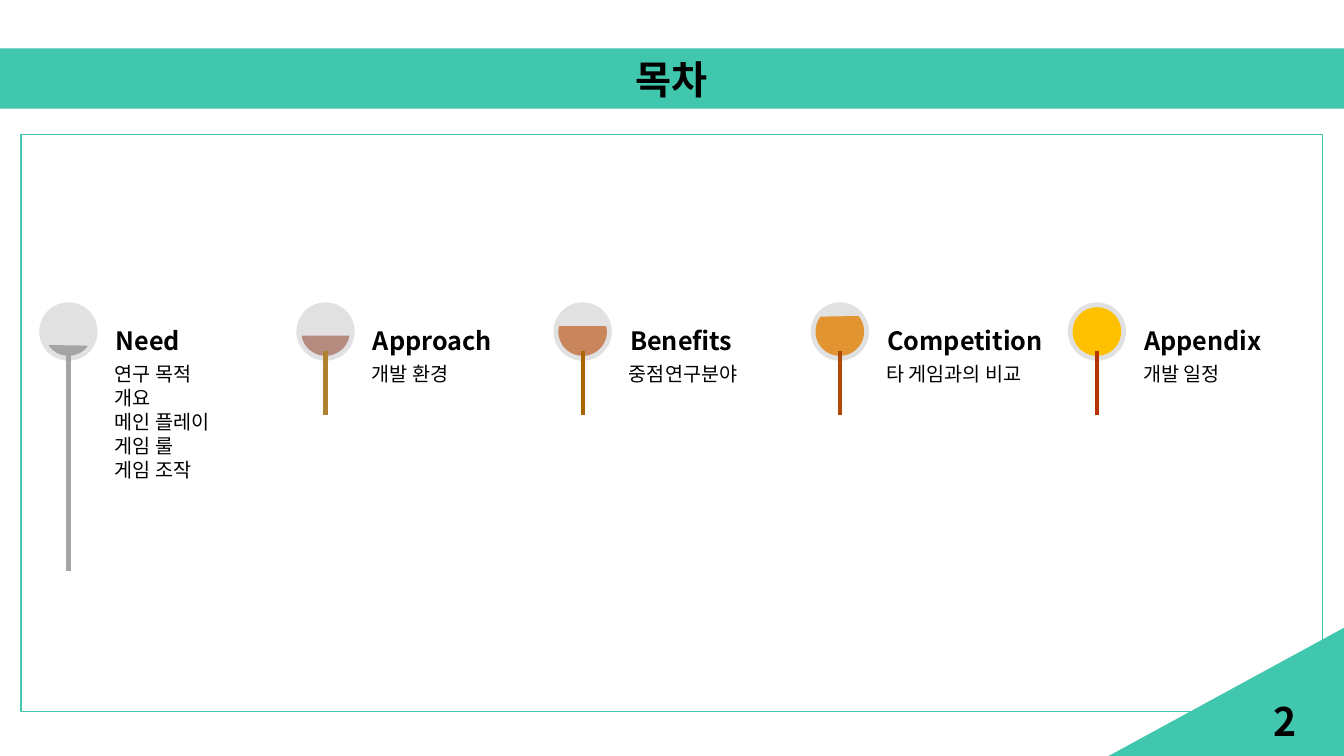
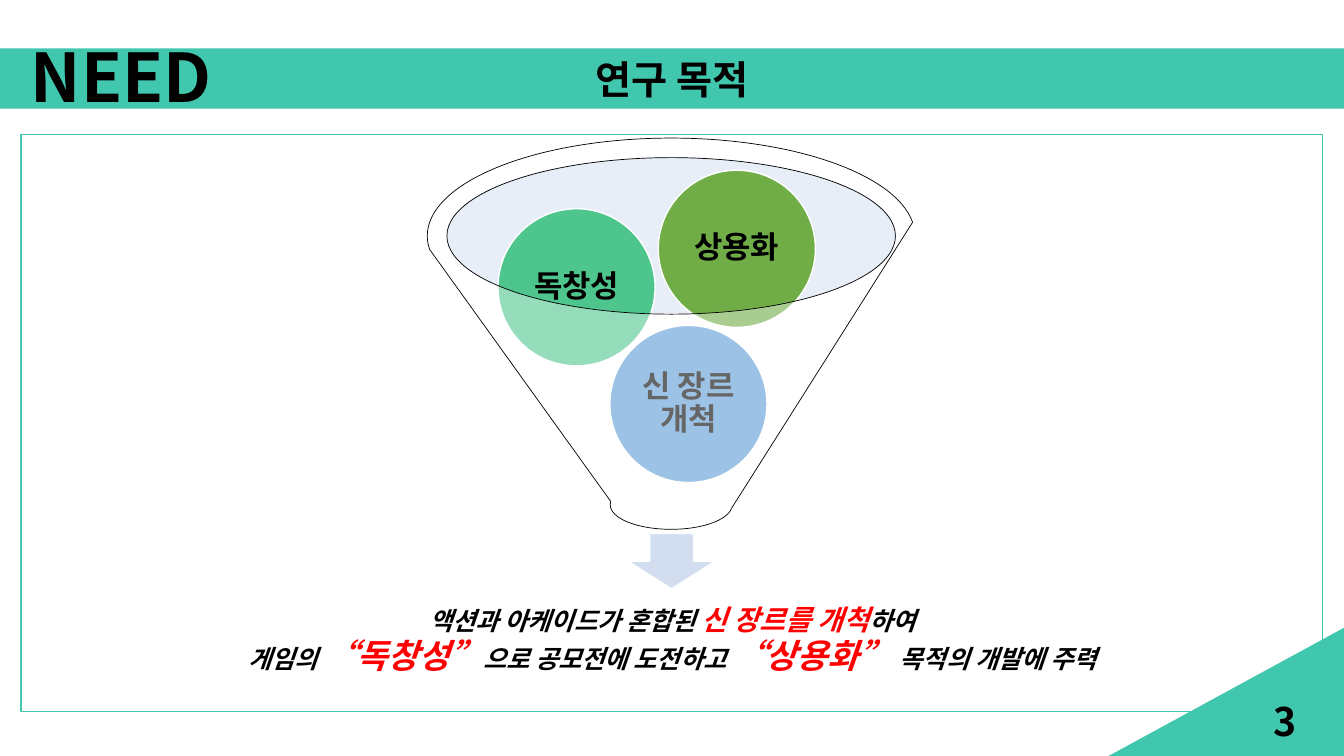
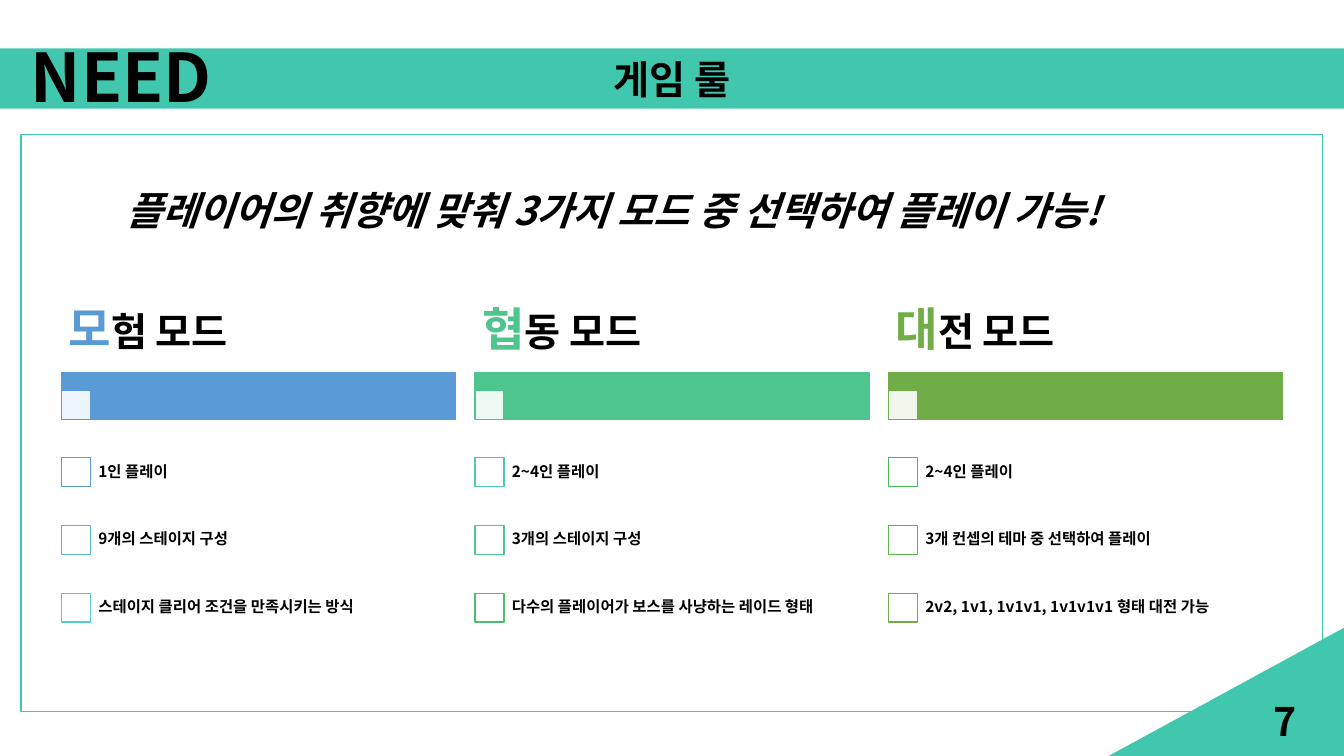
"""Builds three slides of a game proposal: contents, research purpose and game rules."""
from dataclasses import dataclass
from typing import NamedTuple, Optional

from lxml.etree import SubElement
from pptx import Presentation
from pptx.dml.color import RGBColor
from pptx.enum.shapes import MSO_CONNECTOR, MSO_SHAPE
from pptx.enum.text import MSO_ANCHOR, MSO_AUTO_SIZE, PP_ALIGN
from pptx.oxml.ns import qn
from pptx.util import Cm, Pt


@dataclass(frozen=True)
class Theme:
    font: str = "Noto Sans CJK KR"
    black: str = "000000"
    white: str = "FFFFFF"
    teal: str = "41C7AD"
    red: str = "FF0000"
    pale: str = "E1E1E1"
    rim: str = "C4D5EB"
    arrow: str = "D2DEEF"
    blue: str = "5B9BD5"
    mint: str = "4DC58D"
    green: str = "70AD47"
    title: int = 28
    section: int = 48
    initial: int = 33
    quote: int = 24
    ball: int = 22
    stress: int = 20
    heading: int = 18
    item: int = 14
    rule: int = 11


THEME = Theme()


class Box(NamedTuple):
    left: float
    top: float
    width: float
    height: float


class Span(NamedTuple):
    text: str
    size: int
    color: str = THEME.black


class Chapter(NamedTuple):
    name: str
    topics: list[str]
    chord: tuple[float, float]
    fill: str
    stem: str
    stem_end: float = 10.46


class Ball(NamedTuple):
    label: str
    left: float
    top: float
    fill: str


class Mode(NamedTuple):
    initial: str
    rest: str
    color: str
    rules: list[tuple[str, str]]


CHAPTERS = [
    Chapter("Need", ["연구 목적", "개요", "메인 플레이", "게임 룰", "게임 조작"],
            (23.32, 85.88), "A5A5A5", "A5A5A5", 14.4),
    Chapter("Approach", ["개발 환경"], (6.92, 101.08), "B58B80", "AD8330"),
    Chapter("Benefits", ["중점연구분야"], (209.08, 114.92), "C9855C", "AD6300"),
    Chapter("Competition", ["타 게임과의 비교"], (192.68, 130.12), "E19430", "B04A00"),
    Chapter("Appendix", ["개발 일정"], (162, 162), "FFC000", "B43500"),
]

BALLS = [
    Ball("신 장르 개척", 15.37, 8.2, THEME.blue),
    Ball("독창성", 12.55, 5.26, THEME.mint),
    Ball("상용화", 16.59, 4.29, THEME.green),
]

MODES = [
    Mode("모", "험 모드", THEME.blue, [
        ("1인 플레이", THEME.blue),
        ("9개의 스테이지 구성", "57B4D1"),
        ("스테이지 클리어 조건을 만족시키는 방식", "54CCCD")]),
    Mode("협", "동 모드", THEME.mint, [
        ("2~4인 플레이", "51C9AD"),
        ("3개의 스테이지 구성", THEME.mint),
        ("다수의 플레이어가 보스를 사냥하는 레이드 형태", "4AC06E")]),
    Mode("대", "전 모드", THEME.green, [
        ("2~4인 플레이", "48BB4F"),
        ("3개 컨셉의 테마 중 선택하여 플레이", "59B546"),
        ("2v2, 1v1, 1v1v1, 1v1v1v1 형태 대전 가능", THEME.green)]),
]


def place(shape, box: Box) -> None:
    shape.left, shape.top, shape.width, shape.height = map(Cm, box)


def paint(shape, color: str, alpha: int = 100) -> None:
    shape.fill.solid()
    shape.fill.fore_color.rgb = RGBColor.from_string(color)
    if alpha < 100:
        tone = shape.fill._xPr.find(".//" + qn("a:srgbClr"))
        SubElement(tone, qn("a:alpha")).set("val", str(alpha * 1000))


def add_figure(page, kind, box: Box, *, fill: Optional[str] = None, alpha: int = 100,
               line: Optional[str] = None, weight: float = 1):
    shape = page.shapes.add_shape(kind, *map(Cm, box))
    shape.shadow.inherit = False
    if fill:
        paint(shape, fill, alpha)
    else:
        shape.fill.background()
    if line:
        shape.line.color.rgb = RGBColor.from_string(line)
        shape.line.width = Pt(weight)
    else:
        shape.line.fill.background()
    return shape


def add_stem(page, x: float, top: float, bottom: float, color: str) -> None:
    stem = page.shapes.add_connector(MSO_CONNECTOR.STRAIGHT, Cm(x), Cm(top), Cm(x), Cm(bottom))
    stem.line.color.rgb = RGBColor.from_string(color)
    stem.line.width = Pt(3)
    SubElement(stem._element.spPr, qn("a:effectLst"))


def write(shape, paras: list[list[Span]], *, bold: bool = True, italic: bool = False,
          align=PP_ALIGN.LEFT, anchor=MSO_ANCHOR.MIDDLE,
          inset: tuple[float, float] = (0.25, 0.13), spacing: float = 0.9,
          after: float = 2) -> None:
    frame = shape.text_frame
    frame.auto_size = MSO_AUTO_SIZE.NONE
    frame.word_wrap = True
    frame.vertical_anchor = anchor
    frame.margin_left = frame.margin_right = Cm(inset[0])
    frame.margin_top = frame.margin_bottom = Cm(inset[1])
    for index, spans in enumerate(paras):
        para = frame.add_paragraph() if index else frame.paragraphs[0]
        props = para._p.get_or_add_pPr()
        props.set("marL", "0")
        props.set("indent", "0")
        SubElement(props, qn("a:buNone"))
        para.alignment = align
        para.line_spacing = spacing
        para.space_before = Pt(0)
        para.space_after = Pt(after)
        for span in spans:
            run = para.add_run()
            run.text = span.text
            run.font.size = Pt(span.size)
            run.font.bold = bold
            run.font.italic = italic
            run.font.color.rgb = RGBColor.from_string(span.color)
            run.font.name = THEME.font
            SubElement(run.font._element, qn("a:ea")).set("typeface", THEME.font)


def add_text(page, box: Box, paras: list[list[Span]], **style) -> None:
    write(page.shapes.add_textbox(*map(Cm, box)), paras, **style)


def add_page(deck, title: str, number: int, section: str = ""):
    page = deck.slides.add_slide(deck.slide_layouts[1])
    band = page.shapes.title
    place(band, Box(0, 1.22, 33.87, 1.52))
    paint(band, THEME.teal)
    write(band, [[Span(title, THEME.title)]], align=PP_ALIGN.CENTER, spacing=1, after=0)
    add_figure(page, MSO_SHAPE.RECTANGLE, Box(0.53, 3.4, 32.8, 14.53),
               line=THEME.teal, weight=0.75)
    corner = add_figure(page, MSO_SHAPE.RIGHT_TRIANGLE, Box(27.94, 15.82, 5.93, 3.23),
                        fill=THEME.teal)
    corner._element.spPr.find(qn("a:xfrm")).set("flipH", "1")
    add_text(page, Box(25.3, 17.65, 7.62, 1.02), [[Span(str(number), THEME.title)]],
             align=PP_ALIGN.RIGHT, spacing=1, after=0)
    if section:
        add_text(page, Box(0.53, 0.76, 5.92, 2.31), [[Span(section, THEME.section)]],
                 anchor=MSO_ANCHOR.TOP, spacing=1, after=0)
    return page


def build_contents(deck) -> None:
    page = add_page(deck, "목차", 2)
    top, size, rim, step = 7.62, 1.47, 0.14, 6.48
    for index, chapter in enumerate(CHAPTERS):
        left = 0.99 + index * step
        add_figure(page, MSO_SHAPE.OVAL, Box(left, top, size, size), fill=THEME.pale)
        level = add_figure(page, MSO_SHAPE.CHORD,
                           Box(left + rim, top + rim, size - 2 * rim, size - 2 * rim),
                           fill=chapter.fill, line=chapter.fill)
        level.adjustments[0], level.adjustments[1] = chapter.chord
        add_text(page, Box(left + 1.8, top, 4.37, size), [[Span(chapter.name, THEME.heading)]],
                 anchor=MSO_ANCHOR.BOTTOM, inset=(0.13, 0.13))
        topic_box = Box(left + 1.8, top + size, 4.37, 6.22)
        topics = page.placeholders[1] if index == 0 else page.shapes.add_textbox(0, 0, 0, 0)
        place(topics, topic_box)
        write(topics, [[Span(topic, THEME.item)] for topic in chapter.topics],
              bold=False, anchor=MSO_ANCHOR.TOP, inset=(0.1, 0.1))
        add_stem(page, left + size / 2, 8.84, chapter.stem_end, chapter.stem)


def build_purpose(deck) -> None:
    page = add_page(deck, "연구 목적", 3, "NEED")
    add_figure(page, MSO_SHAPE.OVAL, Box(11.25, 3.96, 11.33, 3.94), fill=THEME.rim, alpha=40)
    add_figure(page, MSO_SHAPE.DOWN_ARROW, Box(15.82, 13.44, 2.21, 1.4),
               fill=THEME.arrow, line=THEME.white)
    for ball in BALLS:
        circle = add_figure(page, MSO_SHAPE.OVAL, Box(ball.left, ball.top, 3.96, 3.96),
                            fill=ball.fill, line=THEME.white)
        write(circle, [[Span(ball.label, THEME.ball)]], align=PP_ALIGN.CENTER,
              inset=(0.08, 0.08))
    add_figure(page, MSO_SHAPE.FUNNEL, Box(10.77, 3.48, 12.29, 9.86),
               fill=THEME.white, alpha=40, line=THEME.black, weight=0.5)
    conclusion = page.placeholders[1]
    place(conclusion, Box(5.11, 14.83, 23.67, 2.64))
    write(conclusion, [
        [Span("액션과 아케이드가 혼합된 ", THEME.heading),
         Span("신 장르를 개척", THEME.stress, THEME.red),
         Span("하여", THEME.heading)],
        [Span("게임의 ", THEME.heading),
         Span("“독창성”", THEME.quote, THEME.red),
         Span("으로 공모전에 도전하고 ", THEME.heading),
         Span("“상용화” ", THEME.quote, THEME.red),
         Span("목적의 개발에 주력", THEME.heading)],
    ], italic=True, align=PP_ALIGN.CENTER, inset=(0.36, 0.36))


def build_rules(deck) -> None:
    page = add_page(deck, "게임 룰", 7, "NEED")
    headline = page.placeholders[1]
    place(headline, Box(2.95, 4.06, 27.97, 2.62))
    write(headline, [[Span("플레이어의 취향에 맞춰 3가지 모드 중 선택하여 플레이 가능!", THEME.title)]],
          italic=True, after=6)
    width, square, row = 9.93, 0.73, 1.71
    for column, mode in enumerate(MODES):
        left = 1.55 + column * 10.42
        add_figure(page, MSO_SHAPE.RECTANGLE, Box(left, 9.4, width, 1.17),
                   fill=mode.color, line=mode.color)
        add_figure(page, MSO_SHAPE.RECTANGLE, Box(left, 9.84, square, square),
                   fill=THEME.white, alpha=90, line=mode.color)
        add_text(page, Box(left, 7.29, width, 2.11),
                 [[Span(mode.initial, THEME.initial, mode.color), Span(mode.rest, THEME.title)]],
                 inset=(0.18, 0.13))
        for index, (rule, color) in enumerate(mode.rules):
            top = 11.04 + index * row
            add_figure(page, MSO_SHAPE.RECTANGLE,
                       Box(left, top + (row - square) / 2, square, square),
                       fill=THEME.white, line=color)
            add_text(page, Box(left + 0.7, top, width - 0.7, row), [[Span(rule, THEME.rule)]],
                     inset=(0.23, 0.23))


def main() -> None:
    deck = Presentation()
    deck.slide_width, deck.slide_height = Cm(33.87), Cm(19.05)
    build_contents(deck)
    build_purpose(deck)
    build_rules(deck)
    deck.save("out.pptx")


if __name__ == "__main__":
    main()
